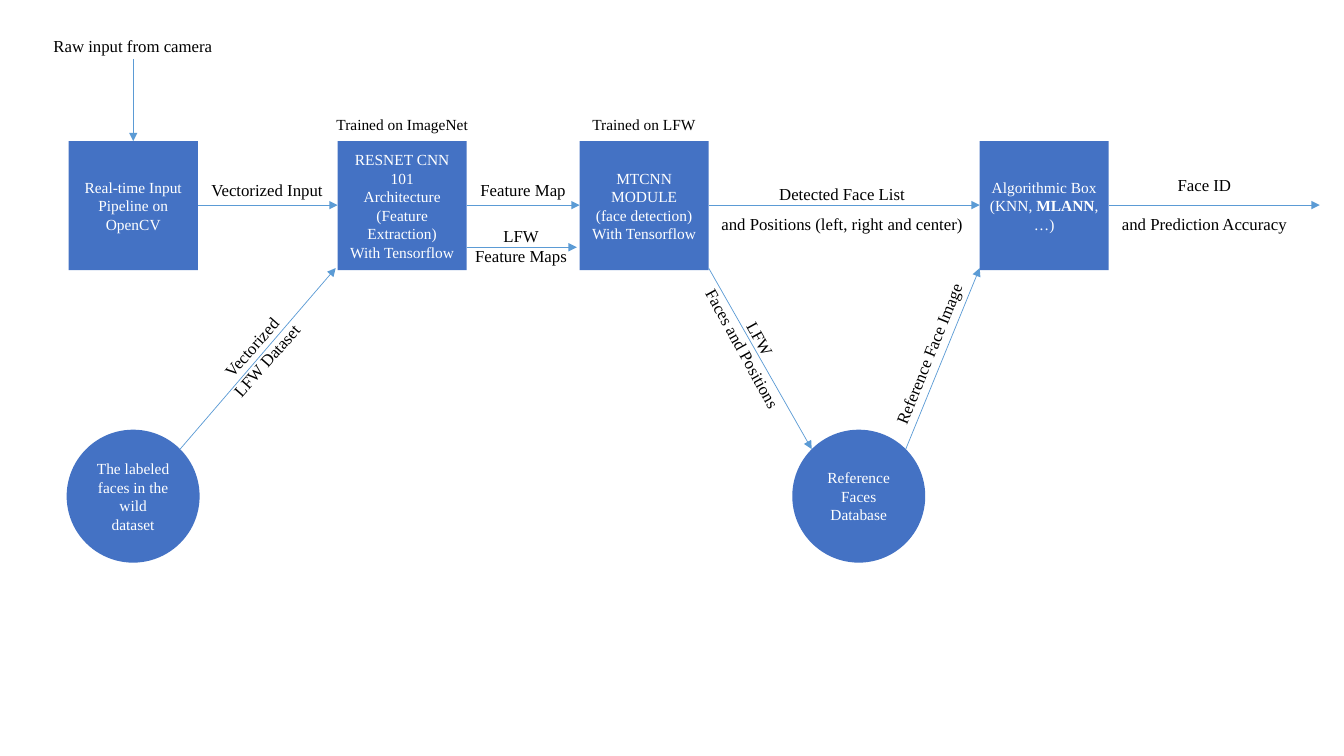
from math import sqrt

from lxml import etree
from pptx import Presentation
from pptx.dml.color import RGBColor
from pptx.enum.shapes import MSO_CONNECTOR, MSO_SHAPE
from pptx.enum.text import MSO_ANCHOR, PP_ALIGN
from pptx.oxml.ns import qn
from pptx.util import Pt

RECTANGLE, CIRCLE = MSO_SHAPE.RECTANGLE, MSO_SHAPE.OVAL
STRAIGHT = MSO_CONNECTOR.STRAIGHT
MIDDLE, TOP = MSO_ANCHOR.MIDDLE, MSO_ANCHOR.TOP
CENTER = PP_ALIGN.CENTER

THEME = {
    "font": "Times New Roman",
    "node": RGBColor(0x44, 0x72, 0xC4),
    "arrow": RGBColor(0x5B, 0x9B, 0xD5),
    "node_text": RGBColor(0xFF, 0xFF, 0xFF),
    "label_text": RGBColor(0, 0, 0),
    "small": 11,
    "normal": 12,
    "arrow_width": 0.5,
}


def write_text(shape, lines, size, color, wrap, anchor, spacing=1.0, gap=0):
    """Fill a shape with centred lines; *asterisks* enclose bold words."""
    frame = shape.text_frame
    frame.word_wrap = wrap
    frame.vertical_anchor = anchor
    for index, line in enumerate(lines):
        paragraph = frame.paragraphs[0] if index == 0 else frame.add_paragraph()
        paragraph.alignment = CENTER
        paragraph.line_spacing = spacing
        paragraph.space_before = Pt(gap if index else 0)
        for part, words in enumerate(line.split("*")):
            run = paragraph.add_run()
            run.text = words
            run.font.name = THEME["font"]
            run.font.size = Pt(size)
            run.font.bold = part % 2 == 1
            run.font.color.rgb = color


def add_arrow(slide, start, end):
    """Draw a thin straight arrow from start to end, both in points."""
    arrow = slide.shapes.add_connector(STRAIGHT, *(Pt(value) for value in start + end))
    arrow.line.color.rgb = THEME["arrow"]
    arrow.line.width = Pt(THEME["arrow_width"])
    etree.SubElement(arrow.line._get_or_add_ln(), qn("a:tailEnd"), type="triangle")
    etree.SubElement(arrow._element.spPr, qn("a:effectLst"))


presentation = Presentation()
presentation.slide_width = Pt(960)
presentation.slide_height = Pt(540)
slide = presentation.slides.add_slide(presentation.slide_layouts[6])

# Processing boxes share one row, data stores a second row
BOX, BOX_TOP = 92.2, 100.8
STORE, STORE_TOP = 95, 306.9
INPUT, RESNET, MTCNN, ALGORITHM = 49.1, 241.2, 414, 699.8
DATASET, DATABASE = 47.6, 565.9

nodes = [
    (RECTANGLE, INPUT, ["Real-time Input Pipeline on OpenCV"]),
    (RECTANGLE, RESNET, ["RESNET CNN", "101", "Architecture",
                         "(Feature Extraction)", "With Tensorflow"]),
    (RECTANGLE, MTCNN, ["MTCNN MODULE", "(face detection)", "With Tensorflow"]),
    (RECTANGLE, ALGORITHM, ["Algorithmic Box", "(KNN, *MLANN*, …)"]),
    (CIRCLE, DATASET, ["The labeled faces in the wild dataset"]),
    (CIRCLE, DATABASE, ["Reference Faces Database"]),
]
for kind, left, lines in nodes:
    top, size = (BOX_TOP, BOX) if kind == RECTANGLE else (STORE_TOP, STORE)
    node = slide.shapes.add_shape(kind, Pt(left), Pt(top), Pt(size), Pt(size))
    node.shadow.inherit = False
    node.fill.solid()
    node.fill.fore_color.rgb = THEME["node"]
    node.line.fill.background()
    write_text(node, lines, THEME["small"], THEME["node_text"], True, MIDDLE)

# Diagonal arrows meet the circles at 45 degrees
flow = 146.5
lfw_flow = 176.6
corner = 191.5
near = STORE * (1 - sqrt(0.5)) / 2
far = STORE - near
store_y = STORE_TOP + near
arrows = [
    ((INPUT + BOX / 2, 42.5), (INPUT + BOX / 2, BOX_TOP)),
    ((INPUT + BOX, flow), (RESNET, flow)),
    ((RESNET + BOX, flow), (MTCNN, flow)),
    ((RESNET + BOX, lfw_flow), (MTCNN - 2, lfw_flow)),
    ((MTCNN + BOX, flow), (ALGORITHM, flow)),
    ((ALGORITHM + BOX, flow), (942.7, flow)),
    ((DATASET + far, store_y), (RESNET - 1.4, corner)),
    ((MTCNN + BOX, corner), (DATABASE + near, store_y)),
    ((DATABASE + far, store_y), (ALGORITHM, corner)),
]
for start, end in arrows:
    add_arrow(slide, start, end)

# Left, top, width, height, rotation, size, line spacing, gap, lines
small, normal = THEME["small"], THEME["normal"]
labels = [
    (30.2, 22.3, 129.6, 21.6, 0, normal, 1, 0, ["Raw input from camera"]),
    (232.6, 78.5, 109.4, 20.9, 0, small, 1, 0, ["Trained on ImageNet"]),
    (415.4, 78.5, 89.3, 20.9, 0, small, 1, 0, ["Trained on LFW"]),
    (143.3, 124.9, 95, 21.6, 0, normal, 1, 0, ["Vectorized Input"]),
    (335.5, 124.9, 76.3, 21.6, 0, normal, 1, 0, ["Feature Map"]),
    (331.9, 157.7, 80.6, 36, 0, normal, 1, 0, ["LFW", "Feature Maps"]),
    (506.9, 120.2, 189.4, 48.2, 0, normal, 1.5, 0,
     ["Detected Face List", "and Positions (left, right and center)"]),
    (793.4, 121, 133.9, 51.1, 0, normal, 1, 14,
     ["Face ID", "and Prediction Accuracy"]),
    (145.4, 234.7, 79.2, 36, 311.5, normal, 1, 0, ["Vectorized", "LFW Dataset"]),
    (481.7, 227.5, 110.2, 36, 61.1, normal, 1, 0, ["LFW", "Faces and Positions"]),
    (601.9, 241.9, 123.1, 21.6, 292, normal, 1, 0, ["Reference Face Image"]),
]
for left, top, width, height, rotation, size, spacing, gap, lines in labels:
    label = slide.shapes.add_textbox(Pt(left), Pt(top), Pt(width), Pt(height))
    label.rotation = rotation
    write_text(label, lines, size, THEME["label_text"], False, TOP, spacing, gap)

presentation.save("out.pptx")
